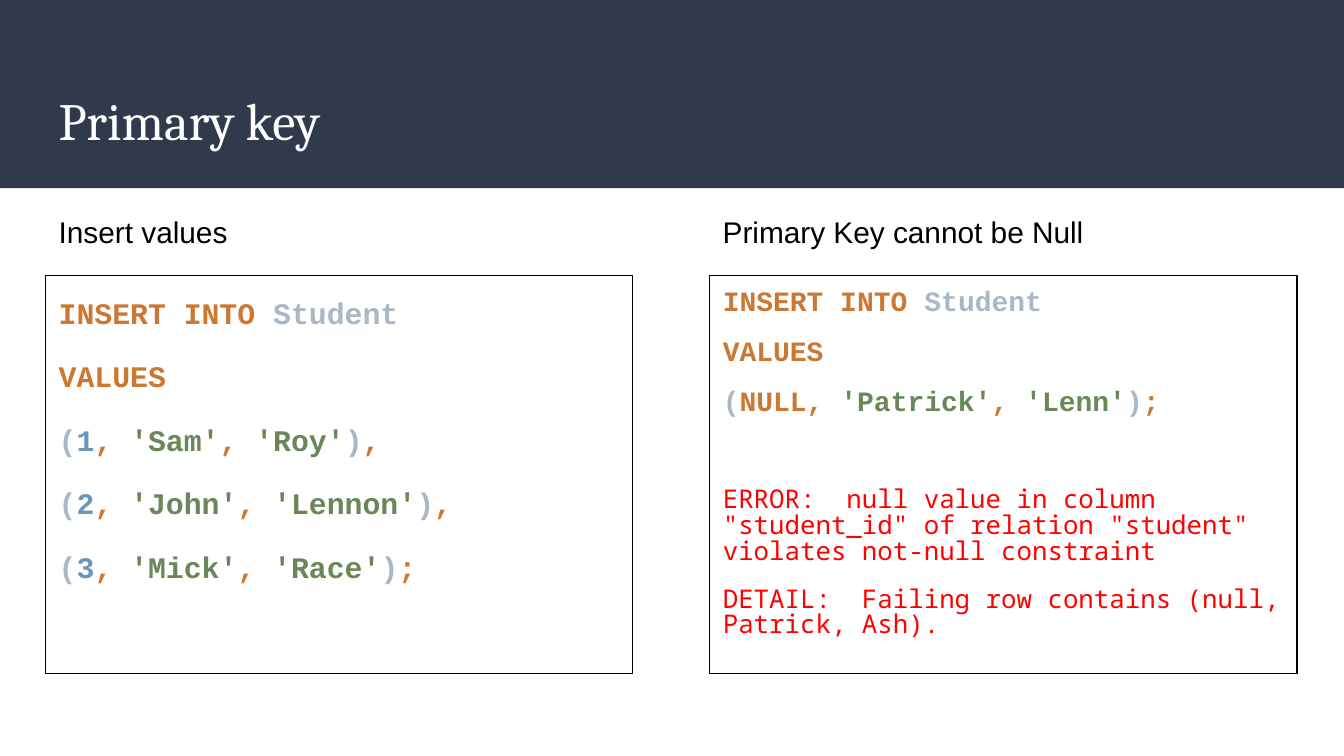
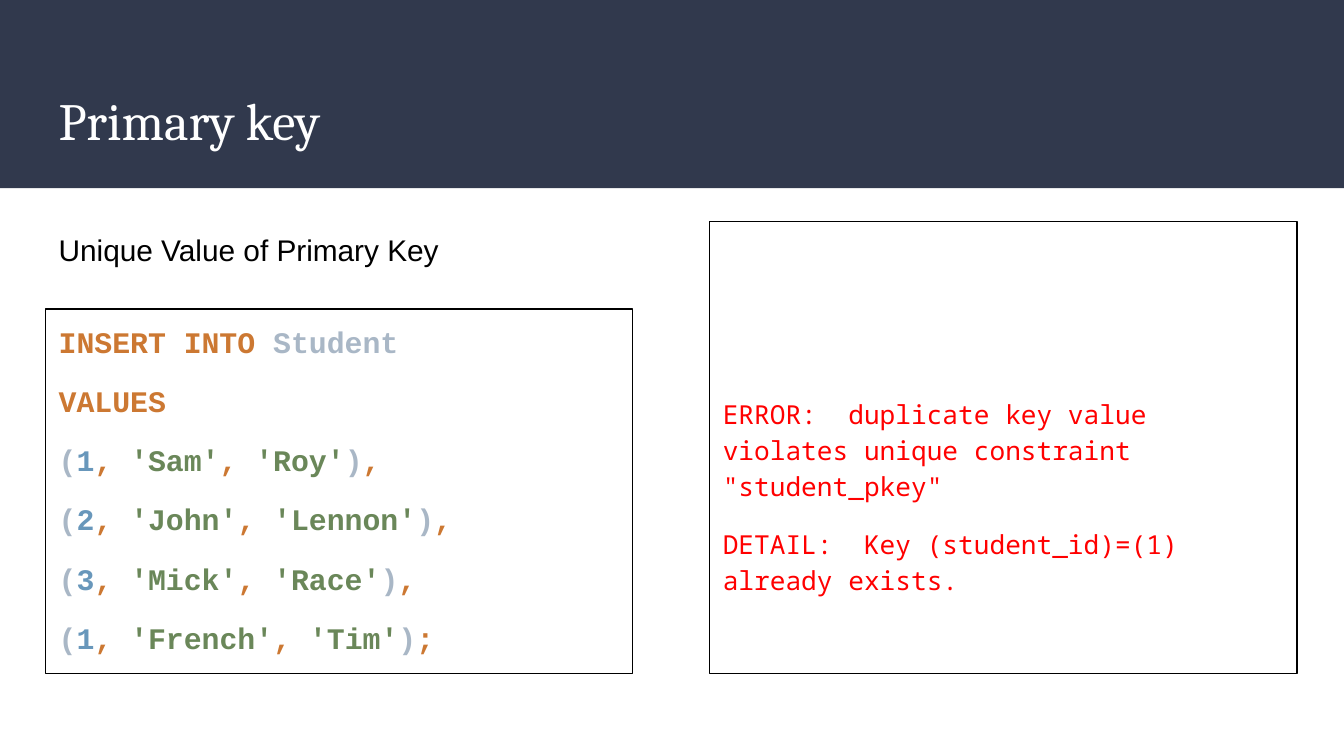
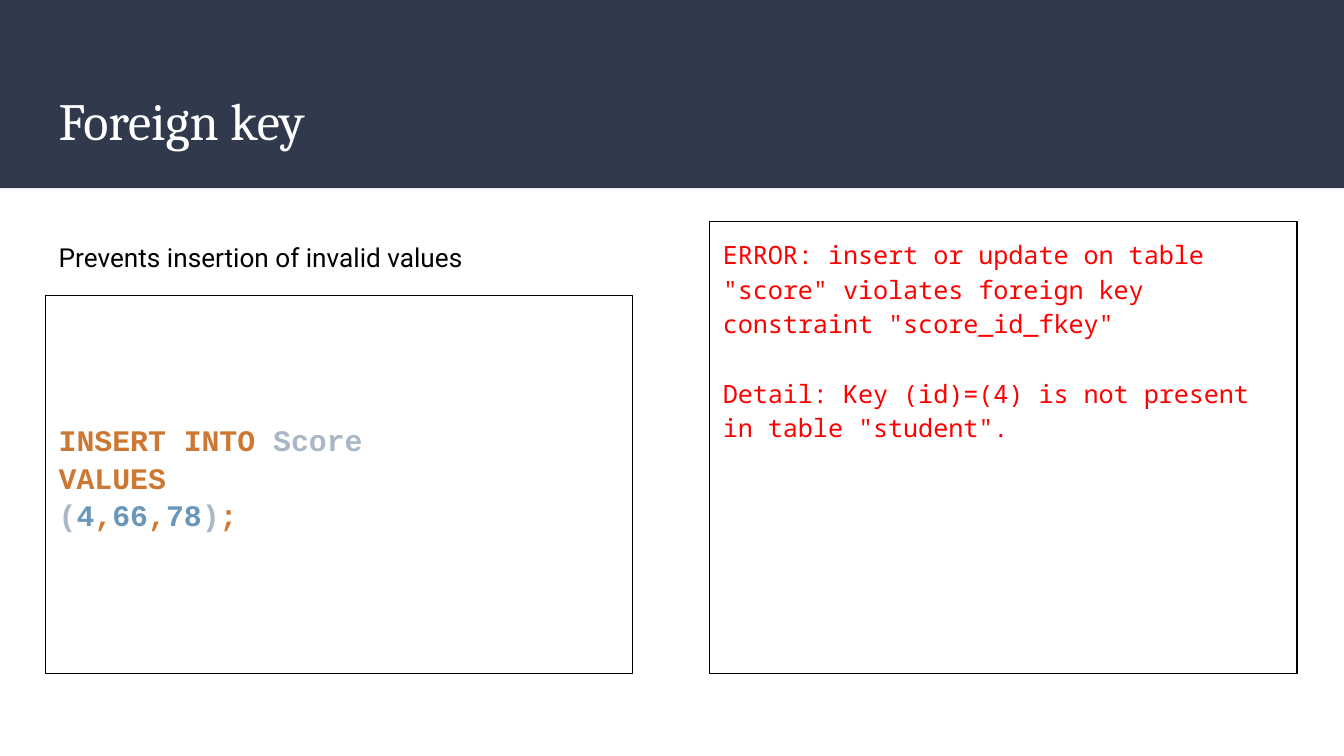
"""Build three slides about primary and foreign key constraints."""
import lxml.etree
import pptx
import pptx.dml.color
import pptx.enum.shapes
import pptx.enum.text
import pptx.oxml.ns
import pptx.util

Cm = pptx.util.Cm
Pt = pptx.util.Pt

COLORS = {
    "band": "31394D",
    "title": "FFFFFF",
    "label": "000000",
    "border": "000000",
    "keyword": "CC7832",
    "name": "A9B7C6",
    "number": "6897BB",
    "string": "6A8759",
    "error": "FF0000",
}
SLIDE_WIDTH, SLIDE_HEIGHT = 25.4, 14.29
BAND_HEIGHT = 3.56
LEFT, RIGHT = 0.86, 13.41
COLUMN_WIDTH = 11.1
PANEL_BOTTOM = 12.73
INSET = 0.25
CODE_FONT, ERROR_FONT = "Courier New", "Noto Sans Mono"


def color(key):
    """Return the named colour."""
    return pptx.dml.color.RGBColor.from_string(COLORS[key])


def apply(target, formats):
    """Set each format value on the target."""
    for attribute, value in formats.items():
        setattr(target, attribute, value)


def place(shape, left, top, width, height):
    """Place a shape by lengths in centimetres."""
    apply(shape, {"left": Cm(left), "top": Cm(top), "width": Cm(width), "height": Cm(height)})


def set_frame(frame, inset, anchor, top_inset=None):
    """Set the insets, anchor and wrapping of a text frame."""
    apply(frame, {
        "margin_left": Cm(inset),
        "margin_right": Cm(inset),
        "margin_top": Cm(top_inset or inset),
        "margin_bottom": Cm(inset),
        "vertical_anchor": anchor,
        "word_wrap": True,
        "auto_size": pptx.enum.text.MSO_AUTO_SIZE.NONE,
    })


def add_run(paragraph, text, key, font, size, bold=False):
    """Add a coloured run to a paragraph."""
    run = paragraph.add_run()
    run.text = text
    apply(run.font, {"name": font, "size": Pt(size), "bold": bold})
    run.font.color.rgb = color(key)


def add_band(slide):
    """Draw the title band behind everything else."""
    band = slide.shapes.add_shape(
        pptx.enum.shapes.MSO_SHAPE.RECTANGLE, 0, 0, Cm(SLIDE_WIDTH), Cm(BAND_HEIGHT))
    band.shadow.inherit = False
    band.fill.solid()
    band.fill.fore_color.rgb = color("band")
    band.line.fill.background()
    band.element.getparent().insert(2, band.element)


def add_key_slide(deck, heading):
    """Add a slide with its band and title."""
    slide = deck.slides.add_slide(deck.slide_layouts[3])
    add_band(slide)
    title = slide.shapes.title
    place(title, LEFT, 1.4, 23.67, 1.73)
    set_frame(title.text_frame, INSET, pptx.enum.text.MSO_ANCHOR.MIDDLE)
    paragraph = title.text_frame.paragraphs[0]
    paragraph.alignment = pptx.enum.text.PP_ALIGN.LEFT
    add_run(paragraph, heading, "title", "Cambria", 28)
    return slide


def add_label(slide, text, left, top, font="Arial", size=16, inset=0.13):
    """Add the label above a panel, aligned with the panel's text."""
    shift = INSET - inset
    label = slide.shapes.add_textbox(
        Cm(left + shift), Cm(top), Cm(COLUMN_WIDTH - 2 * shift), Pt(size * 1.2) + Cm(2 * inset))
    set_frame(label.text_frame, inset, pptx.enum.text.MSO_ANCHOR.TOP)
    add_run(label.text_frame.paragraphs[0], text, "label", font, size)


def fill_panel(slide, column, top, lines, spacing, top_inset=None):
    """Frame a body placeholder and write its (space before, runs) lines."""
    panel = slide.placeholders[column + 1]
    place(panel, (LEFT, RIGHT)[column], top, COLUMN_WIDTH, PANEL_BOTTOM - top)
    panel.line.color.rgb = color("border")
    panel.line.width = Pt(0.75)
    frame = panel.text_frame
    set_frame(frame, INSET, pptx.enum.text.MSO_ANCHOR.TOP, top_inset)
    for index, (space, runs) in enumerate(lines):
        paragraph = frame.add_paragraph() if index else frame.paragraphs[0]
        properties = paragraph._p.get_or_add_pPr()
        properties.set("marL", "0")
        properties.set("indent", "0")
        lxml.etree.SubElement(properties, pptx.oxml.ns.qn("a:buNone"))
        apply(paragraph, {"line_spacing": spacing, "space_before": Pt(space)})
        for run in runs:
            add_run(paragraph, *run)


def value_kind(value):
    """Tell which colour an SQL value takes."""
    if value.isdigit():
        return "number"
    return "string" if value.startswith("'") else "keyword"


def insert_lines(table, rows, size=16, space=12, separator=", "):
    """Return the coloured lines of an INSERT statement."""
    lines = [[("INSERT INTO ", "keyword"), (table, "name")], [("VALUES", "keyword")]]
    for number, row in enumerate(rows, 1):
        tokens = [("(", "name")]
        for index, value in enumerate(row):
            if index:
                tokens.append((separator, "keyword"))
            tokens.append((value, value_kind(value)))
        ending = ";" if number == len(rows) else ","
        lines.append(tokens + [(")", "name"), (ending, "keyword")])
    return [(space, [(text, key, CODE_FONT, size, True) for text, key in line]) for line in lines]


def error_lines(size, *messages):
    """Return the lines of an error from (space before, text) pairs."""
    return [(space, [(text, "error", ERROR_FONT, size)]) for space, text in messages]


def main():
    """Build and save the deck."""
    deck = pptx.Presentation()
    apply(deck, {"slide_width": Cm(SLIDE_WIDTH), "slide_height": Cm(SLIDE_HEIGHT)})
    students = [("1", "'Sam'", "'Roy'"), ("2", "'John'", "'Lennon'"), ("3", "'Mick'", "'Race'")]

    not_null = add_key_slide(deck, "Primary key")
    fill_panel(not_null, 0, 5.21, insert_lines("Student", students), 1.15)
    null_error = error_lines(
        13.8,
        (38, 'ERROR:  null value in column "student_id" of relation "student" '
             'violates not-null constraint'),
        (12, "DETAIL:  Failing row contains (null, Patrick, Ash)."))
    null_insert = insert_lines("Student", [("NULL", "'Patrick'", "'Lenn'")], size=15)
    fill_panel(not_null, 1, 5.21, null_insert + null_error, 0.83)
    add_label(not_null, "Insert values", LEFT, 3.91)
    add_label(not_null, "Primary Key cannot be Null", RIGHT, 3.91)

    unique = add_key_slide(deck, "Primary key")
    duplicates = students + [("1", "'French'", "'Tim'")]
    fill_panel(unique, 0, 5.84, insert_lines("Student", duplicates), 1.03)
    duplicate_error = error_lines(
        14,
        (0, 'ERROR:  duplicate key value violates unique constraint "student_pkey"'),
        (12, "DETAIL:  Key (student_id)=(1) already exists."))
    fill_panel(unique, 1, 4.19, duplicate_error, 1.15, top_inset=3.25)
    add_label(unique, "Unique Value of Primary Key", LEFT, 4.24)

    foreign = add_key_slide(deck, "Foreign key")
    score_insert = insert_lines("Score", [("4", "66", "78")], space=0, separator=",")
    fill_panel(foreign, 0, 5.59, score_insert, 1.05, top_inset=2.35)
    foreign_error = error_lines(
        13.5,
        (0, 'ERROR: insert or update on table "score" violates foreign key '
            'constraint "score_id_fkey"'),
        (18.5, 'Detail: Key (id)=(4) is not present in table "student".'))
    fill_panel(foreign, 1, 4.19, foreign_error, 1.15)
    add_label(foreign, "Prevents insertion of invalid values", LEFT, 4.32, "Roboto", 14, INSET)

    deck.save("out.pptx")


if __name__ == "__main__":
    main()
